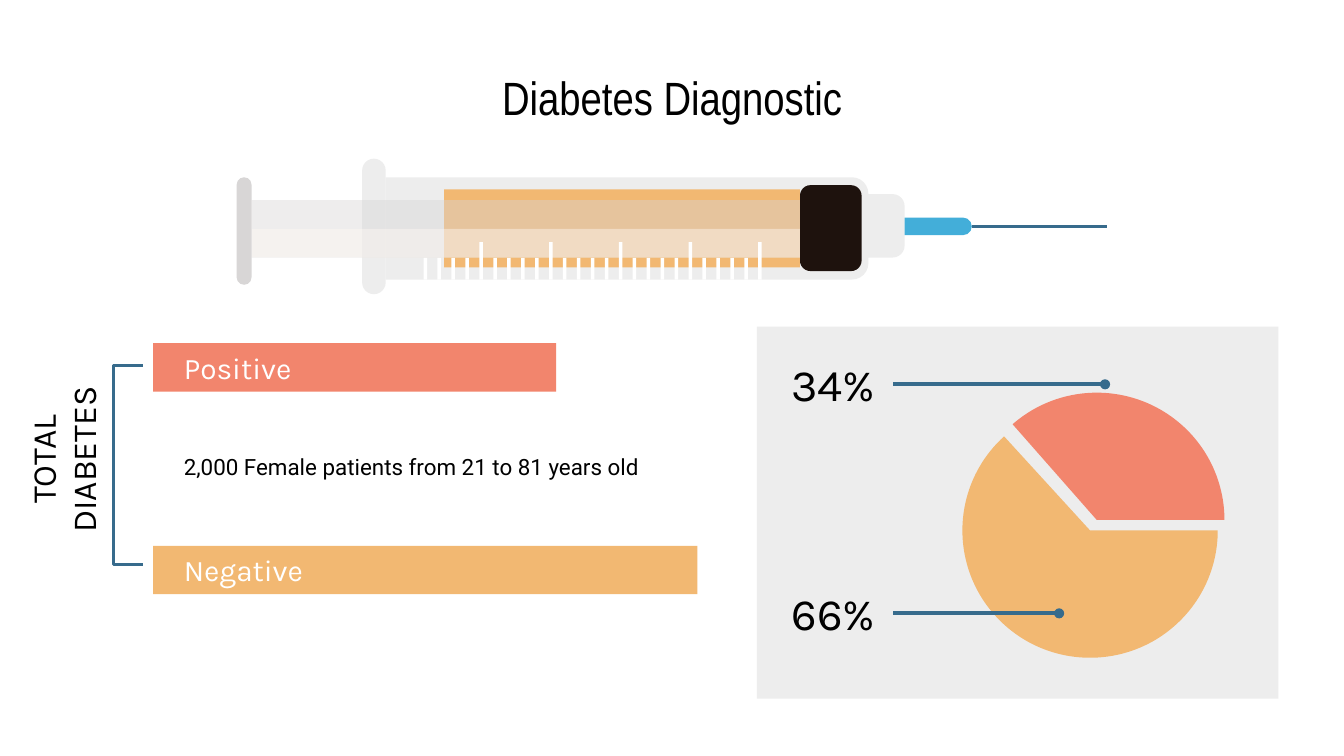
from dataclasses import dataclass
from typing import Any, Optional

from lxml.etree import SubElement
from pptx import Presentation
from pptx.dml.color import RGBColor
from pptx.enum.shapes import MSO_CONNECTOR, MSO_SHAPE
from pptx.enum.text import MSO_ANCHOR, PP_ALIGN
from pptx.oxml.ns import qn
from pptx.util import Pt

BLACK = RGBColor(0x00, 0x00, 0x00)
WHITE = RGBColor(0xFF, 0xFF, 0xFF)
CORAL = RGBColor(0xF2, 0x85, 0x6D)
AMBER = RGBColor(0xF2, 0xB8, 0x72)
TEAL = RGBColor(0x37, 0x6B, 0x8C)
SKY = RGBColor(0x43, 0xAE, 0xD9)
PALE_GREY = RGBColor(0xED, 0xED, 0xED)
MID_GREY = RGBColor(0xD8, 0xD6, 0xD6)
CREAM = RGBColor(0xFF, 0xF9, 0xF3)
STOPPER_BROWN = RGBColor(0x1E, 0x12, 0x0D)

RECT = MSO_SHAPE.RECTANGLE
ROUNDED = MSO_SHAPE.ROUNDED_RECTANGLE
RIGHT_ROUNDED = MSO_SHAPE.ROUND_2_SAME_RECTANGLE  # turned so its round side faces right


@dataclass
class Part:
    """A filled shape; lengths are in points."""
    left: float
    top: float
    width: float
    height: float
    color: RGBColor
    preset: Any = RECT
    adjustments: tuple = ()
    opacity: Optional[int] = None  # percent


@dataclass
class Label:
    text: str
    left: float
    top: float
    width: float
    height: float
    size: float
    font: str = "Karla"
    color: RGBColor = BLACK
    align: Any = PP_ALIGN.LEFT
    rotation: float = 0


@dataclass
class Result:
    name: str
    share: str
    color: RGBColor
    bar_top: float
    bar_width: float
    slice_left: float
    slice_top: float
    slice_from: float  # degrees, clockwise from the right
    slice_to: float
    leader_y: float
    leader_end: float


def draw_part(shapes: Any, part: Part) -> None:
    left, top, width, height = part.left, part.top, part.width, part.height
    turned = part.preset == RIGHT_ROUNDED
    if turned:
        left, top = left + (width - height) / 2, top + (height - width) / 2
        width, height = height, width
    shape = shapes.add_shape(part.preset, Pt(left), Pt(top), Pt(width), Pt(height))
    if turned:
        shape.rotation = 90
    for index, value in enumerate(part.adjustments):
        shape.adjustments[index] = value
    shape.shadow.inherit = False
    shape.fill.solid()
    shape.fill.fore_color.rgb = part.color
    shape.line.fill.background()
    if part.opacity is not None:
        color = shape.fill._xPr.find(qn("a:solidFill"))[0]
        SubElement(color, qn("a:alpha")).set("val", str(part.opacity * 1000))


def draw_label(shapes: Any, label: Label) -> None:
    box = shapes.add_textbox(Pt(label.left), Pt(label.top), Pt(label.width), Pt(label.height))
    box.rotation = label.rotation
    frame = box.text_frame
    frame.word_wrap = True
    frame.vertical_anchor = MSO_ANCHOR.MIDDLE
    frame.margin_left = frame.margin_right = Pt(7.2)
    frame.margin_top = frame.margin_bottom = Pt(7.2)
    frame.text = label.text
    paragraph = frame.paragraphs[0]
    paragraph.alignment = label.align
    font = paragraph.runs[0].font
    font.name, font.size = label.font, Pt(label.size)
    font.color.rgb = label.color


def draw_line(shapes: Any, start: float, end: float, y: float) -> None:
    line = shapes.add_connector(MSO_CONNECTOR.STRAIGHT, Pt(start), Pt(y), Pt(end), Pt(y))
    line.line.color.rgb = TEAL
    line.line.width = Pt(2)
    SubElement(line._element.spPr, qn("a:effectLst"))


def draw_bracket(shapes: Any, left: float, right: float, top: float, bottom: float) -> None:
    builder = shapes.build_freeform(Pt(right), Pt(top))
    corners = [(left, top), (left, bottom), (right, bottom)]
    builder.add_line_segments([(Pt(x), Pt(y)) for x, y in corners], close=False)
    bracket = builder.convert_to_shape()
    bracket.shadow.inherit = False
    bracket.fill.background()
    bracket.line.color.rgb = TEAL
    bracket.line.width = Pt(1.5)


# Syringe
BARREL_BOTTOM = 149.8
SYRINGE = [
    Part(206.6, 95, 258.6, 54.8, PALE_GREY, RIGHT_ROUNDED, (0.16, 0)),  # barrel
    Part(428.6, 99.2, 33, 46, STOPPER_BROWN, ROUNDED, (0.17,)),  # stopper
    Part(465.1, 104, 19.5, 34, PALE_GREY, RIGHT_ROUNDED, (0.33, 0)),  # nozzle
    Part(484.6, 116.6, 36, 9.4, SKY, RIGHT_ROUNDED, (0.5, 0)),  # needle hub
    Part(238, 101.4, 190.6, 41.8, AMBER),  # liquid
    Part(194, 85, 12.6, 72.6, PALE_GREY, ROUNDED, (0.5,)),  # finger grip
    Part(134.8, 107.2, 293.8, 30.8, MID_GREY, opacity=43),  # plunger rod
    Part(134.8, 122.6, 293.8, 15.4, CREAM, opacity=45),  # rod highlight
    Part(126.8, 95, 8, 57.6, MID_GREY, ROUNDED, (0.5,)),  # thumb rest
]
TICK_COUNT, TICK_LEFT, TICK_STEP, TICK_WIDTH = 25, 226.9, 7.47, 1.9
SHORT_TICK, LONG_TICK = 11.6, 20

# Results
BAR_LEFT, BAR_HEIGHT = 82, 26
LABEL_LEFT = 91.4
PIE_WIDTH, PIE_HEIGHT = 136.8, 136.4
LEADER_START, DOT = 478.6, 5.4
DEGREE = 0.6  # one degree in adjustment units
RESULTS = [
    Result("Positive", "34%", CORAL, 183.8, 216, 519.2, 210.4, 228.67, 0, 205.9, 592),
    Result("Negative", "66%", AMBER, 292.4, 291.6, 515.6, 216, 0, 227.57, 328.6, 567.4),
]


def draw_syringe(shapes: Any) -> None:
    syringe = shapes.add_group_shape().shapes
    for part in SYRINGE:
        draw_part(syringe, part)
    draw_line(syringe, 520.6, 593.3, 121.3)  # needle
    for index in range(TICK_COUNT):
        height = LONG_TICK if index % 5 == 4 else SHORT_TICK
        draw_part(syringe, Part(TICK_LEFT + index * TICK_STEP, BARREL_BOTTOM - height,
                                TICK_WIDTH, height, WHITE))


def draw_result(shapes: Any, result: Result) -> None:
    # Bar with its name
    draw_part(shapes, Part(BAR_LEFT, result.bar_top, result.bar_width, BAR_HEIGHT, result.color))
    draw_label(shapes, Label(result.name, LABEL_LEFT, result.bar_top, 111.6, BAR_HEIGHT, 16,
                             color=WHITE))
    # Pie slice
    angles = (result.slice_from * DEGREE, result.slice_to * DEGREE)
    draw_part(shapes, Part(result.slice_left, result.slice_top, PIE_WIDTH, PIE_HEIGHT,
                           result.color, MSO_SHAPE.PIE, angles))
    # Share with its leader
    draw_label(shapes, Label(result.share, 416.9, result.leader_y - 14.2, 67, 28, 24))
    draw_line(shapes, LEADER_START, result.leader_end, result.leader_y)
    draw_part(shapes, Part(result.leader_end - DOT / 2, result.leader_y - DOT / 2, DOT, DOT,
                           TEAL, MSO_SHAPE.OVAL))


def main() -> None:
    presentation = Presentation()
    presentation.slide_width, presentation.slide_height = Pt(720), Pt(405)
    shapes = presentation.slides.add_slide(presentation.slide_layouts[6]).shapes

    draw_label(shapes, Label("Diabetes Diagnostic", 56, 36, 608, 32, 25, "Arial Narrow",
                             align=PP_ALIGN.CENTER))
    draw_syringe(shapes)

    # Total and sample
    draw_bracket(shapes, 61, 76.6, 195.8, 302.5)
    draw_label(shapes, Label("TOTAL DIABETES", -14.4, 231, 95.8, 30.2, 18,
                             align=PP_ALIGN.CENTER, rotation=270))
    draw_label(shapes, Label("2,000 Female patients from 21 to 81 years old",
                             LABEL_LEFT, 226, 268.6, 47.6, 12, "Roboto"))

    # Pie panel and results
    draw_part(shapes, Part(405.4, 175, 279.4, 199.4, PALE_GREY))
    for result in RESULTS:
        draw_result(shapes, result)

    presentation.save("out.pptx")


if __name__ == "__main__":
    main()
